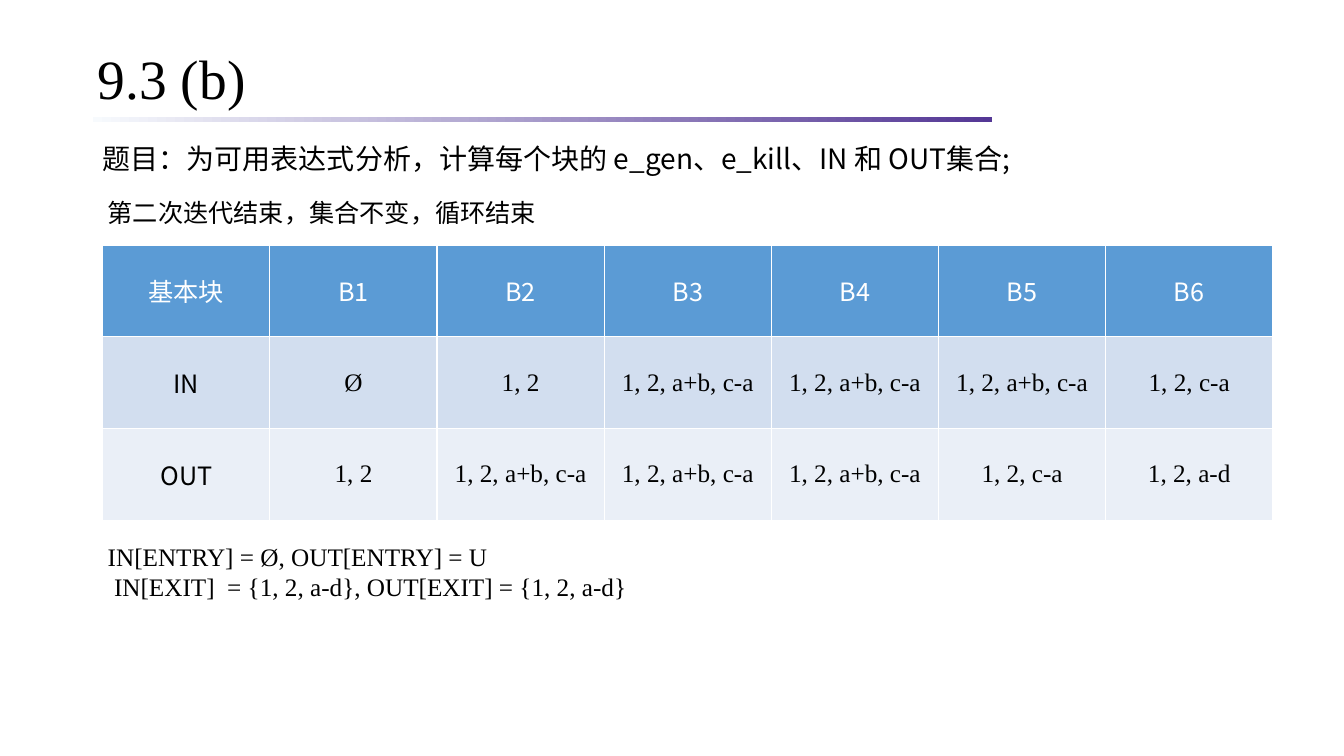
from lxml.etree import SubElement
from pptx import Presentation
from pptx.dml.color import RGBColor
from pptx.enum.shapes import MSO_SHAPE as Shape
from pptx.enum.text import MSO_ANCHOR as Anchor, PP_ALIGN as Align
from pptx.oxml.ns import qn
from pptx.util import Pt

BLACK = RGBColor(0x00, 0x00, 0x00)
WHITE = RGBColor(0xFF, 0xFF, 0xFF)
RULE_START = RGBColor(0xF7, 0xFA, 0xFD)
RULE_END = RGBColor(0x54, 0x37, 0x95)
HEADER_FILL = RGBColor(0x5B, 0x9B, 0xD5)
ROW_FILLS = [RGBColor(0xD2, 0xDE, 0xEF), RGBColor(0xEA, 0xEF, 0xF7)]
SERIF = "Times New Roman"
SANS = "Noto Sans CJK SC"

ROWS = [
    ["基本块", "B1", "B2", "B3", "B4", "B5", "B6"],
    ["IN", "Ø", "1, 2", "1, 2, a+b, c-a", "1, 2, a+b, c-a", "1, 2, a+b, c-a", "1, 2, c-a"],
    ["OUT", "1, 2", "1, 2, a+b, c-a", "1, 2, a+b, c-a", "1, 2, a+b, c-a", "1, 2, c-a", "1, 2, a-d"],
]


def add_span(para, text, size, font=SERIF, color=BLACK):
    span = para.add_run()
    span.text = text
    span.font.size = Pt(size)
    span.font.name = font
    span.font.bold = False
    span.font.color.rgb = color
    east_asian = SubElement(span.font._element, qn("a:ea"))
    east_asian.set("typeface", SANS)


def add_text(page, box, lines, size, side_inset=3.6, spacing=None, anchor=Anchor.TOP):
    frame = page.shapes.add_textbox(*map(Pt, box)).text_frame
    frame.word_wrap = True
    frame.vertical_anchor = anchor
    frame.margin_left = frame.margin_right = Pt(side_inset)
    frame.margin_top = frame.margin_bottom = Pt(3.6)
    for index, spans in enumerate(lines):
        para = frame.add_paragraph() if index else frame.paragraphs[0]
        para.line_spacing = spacing
        for text, font in spans:
            add_span(para, text, size, font)


def add_heading(page, box):
    left, top, width, height = box
    rule = page.shapes.add_shape(
        Shape.RECTANGLE, Pt(left), Pt(top + height - 1.5), Pt(642.2), Pt(4))
    rule.shadow.inherit = False
    rule.line.fill.background()
    rule.fill.gradient()
    rule.fill.gradient_angle = 0
    for stop, color in zip(rule.fill.gradient_stops, (RULE_START, RULE_END)):
        stop.color.rgb = color
    add_text(page, box, [[("9.3 (b)", SERIF)]], 39.6, spacing=0.9, anchor=Anchor.MIDDLE)


def add_borders(cell):
    properties = cell._tc.get_or_add_tcPr()
    for position, side in enumerate(("lnL", "lnR", "lnT", "lnB")):
        line = properties.makeelement(qn(f"a:{side}"), {"w": str(Pt(1))})
        fill = SubElement(line, qn("a:solidFill"))
        SubElement(fill, qn("a:srgbClr")).set("val", str(WHITE))
        properties.insert(position, line)


def add_set_table(page, box):
    width, height = box[2:]
    table = page.shapes.add_table(len(ROWS), len(ROWS[0]), *map(Pt, box)).table
    table.horz_banding = False
    for column in table.columns:
        column.width = Pt(width / len(ROWS[0]))
    for row in table.rows:
        row.height = Pt(height / len(ROWS))
    for i, values in enumerate(ROWS):
        for j, value in enumerate(values):
            cell = table.cell(i, j)
            cell.vertical_anchor = Anchor.MIDDLE
            cell.fill.solid()
            cell.fill.fore_color.rgb = ROW_FILLS[i - 1] if i else HEADER_FILL
            add_borders(cell)
            para = cell.text_frame.paragraphs[0]
            para.alignment = Align.CENTER
            is_label = i == 0 or j == 0
            add_span(para, value, 18, SANS if is_label else SERIF, BLACK if i else WHITE)


def main():
    deck = Presentation()
    deck.slide_width, deck.slide_height = Pt(960), Pt(540)
    page = deck.slides.add_slide(deck.slide_layouts[6])
    add_heading(page, (66.2, 31, 828, 54))
    add_text(page, (66.2, 85.7, 812.2, 43.9), [[
        ("题目：", SERIF),
        ("为可用表达式分析，计算每个块的 e_gen、e_kill、IN 和 OUT集合;", SANS),
    ]], 20, side_inset=7.2, spacing=1.5)
    add_set_table(page, (73.4, 175, 835.9, 196.6))
    add_text(page, (73.4, 137.5, 856, 51), [[("第二次迭代结束，集合不变，循环结束", SERIF)]], 18)
    add_text(page, (73.4, 383, 856, 51), [
        [("IN[ENTRY] = Ø, OUT[ENTRY] = U", SERIF)],
        [(" IN[EXIT]  = {1, 2, a-d}, OUT[EXIT] = {1, 2, a-d}", SERIF)],
    ], 18)
    deck.save("out.pptx")


if __name__ == "__main__":
    main()
